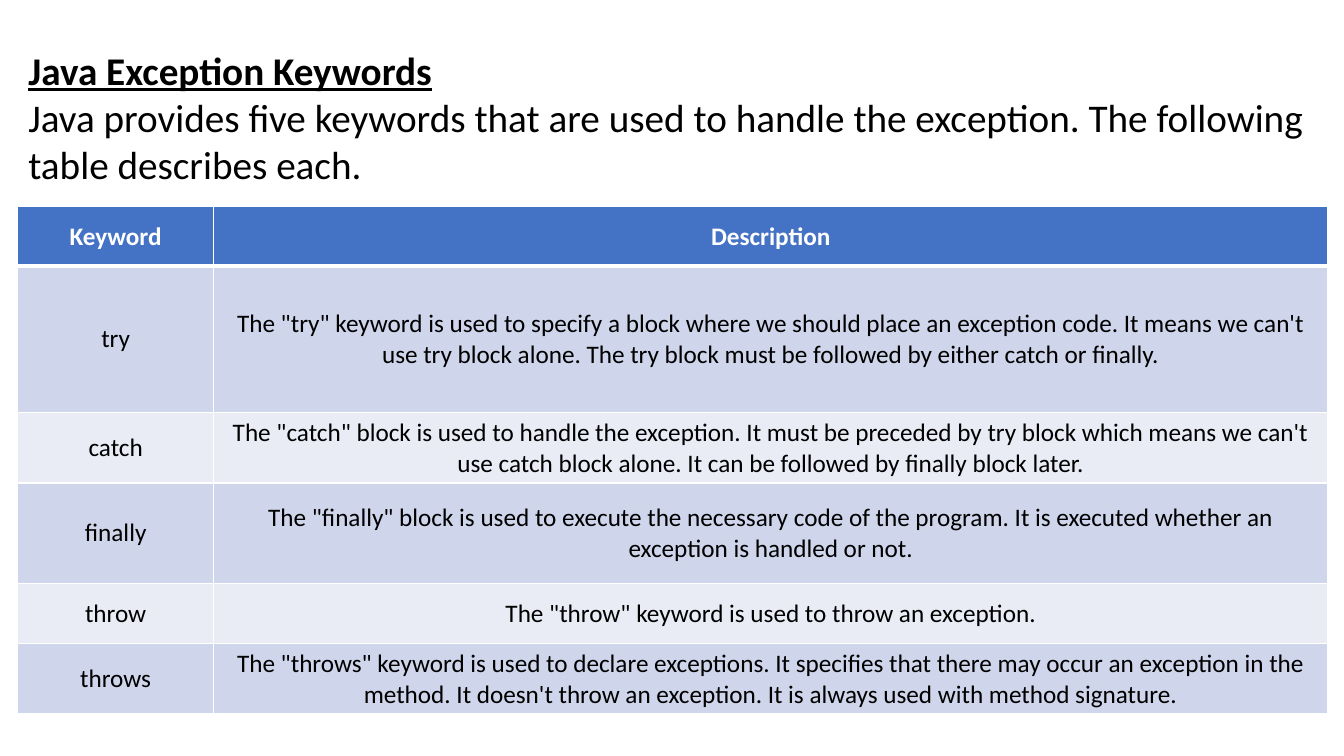
import pptx
import pptx.dml.color
import pptx.enum.text
import pptx.oxml
import pptx.oxml.ns
import pptx.util
from dataclasses import dataclass
from pptx.util import Cm

HEADING = "Java Exception Keywords"
INTRO = ("Java provides five keywords that are used to handle the exception. "
         "The following table describes each.")
HEADER = ("Keyword", "Description")
KEYWORDS = [
    ("try", "The \"try\" keyword is used to specify a block where we should place "
            "an exception code. It means we can't use try block alone. The try block "
            "must be followed by either catch or finally."),
    ("catch", "The \"catch\" block is used to handle the exception. It must be "
              "preceded by try block which means we can't use catch block alone. "
              "It can be followed by finally block later."),
    ("finally", "The \"finally\" block is used to execute the necessary code of the "
                "program. It is executed whether an exception is handled or not."),
    ("throw", "The \"throw\" keyword is used to throw an exception."),
    ("throws", "The \"throws\" keyword is used to declare exceptions. It specifies "
               "that there may occur an exception in the method. It doesn't throw an "
               "exception. It is always used with method signature."),
]
COLUMN_WIDTHS = (4.95, 28.07)
BASE_ROW_HEIGHT = 1.5
TALL_ROWS = {"try": 3.68, "finally": 2.54}


@dataclass(frozen=True)
class Theme:
    font: str = "Calibri"
    heading_size: int = 28
    table_size: int = 18
    text: str = "000000"
    header_text: str = "FFFFFF"
    header_fill: str = "4472C4"
    bands: tuple = ("CFD5EA", "E9EBF5")
    border: str = "FFFFFF"
    border_width: int = 1
    header_rule: int = 3


THEME = Theme()


def rgb(color):
    return pptx.dml.color.RGBColor.from_string(color)


def style_paragraph(paragraph, size, color, bold, align):
    paragraph.alignment = align
    paragraph.font.name = THEME.font
    paragraph.font.size = pptx.util.Pt(size)
    paragraph.font.color.rgb = rgb(color)
    paragraph.font.bold = bold


def add_borders(cell, is_header):
    """Draw the cell edges; call before the fill, which must follow them in the XML."""
    widths = {"L": THEME.border_width, "R": THEME.border_width}
    if is_header:
        widths["T"] = THEME.border_width
    widths["B"] = THEME.header_rule if is_header else THEME.border_width
    properties = cell._tc.get_or_add_tcPr()
    for side, width in widths.items():
        properties.append(pptx.oxml.parse_xml(
            f'<a:ln{side} {pptx.oxml.ns.nsdecls("a")} w="{pptx.util.Pt(width)}">'
            f'<a:solidFill><a:srgbClr val="{THEME.border}"/></a:solidFill></a:ln{side}>'))


def add_heading(slide):
    title = slide.shapes.title
    title.left, title.top, title.width, title.height = Cm(0.46), Cm(1.04), Cm(33.02), Cm(3.84)
    frame = title.text_frame
    frame.word_wrap = True
    frame.auto_size = pptx.enum.text.MSO_AUTO_SIZE.SHAPE_TO_FIT_TEXT
    frame.vertical_anchor = pptx.enum.text.MSO_ANCHOR.TOP
    frame.text = f"{HEADING}\n{INTRO}"
    for paragraph, emphasized in zip(frame.paragraphs, (True, False)):
        style_paragraph(paragraph, THEME.heading_size, THEME.text, emphasized,
                        pptx.enum.text.PP_ALIGN.LEFT)
        paragraph.font.underline = emphasized


def add_keyword_table(slide):
    rows = [HEADER, *KEYWORDS]
    heights = [TALL_ROWS.get(keyword, BASE_ROW_HEIGHT) for keyword, _ in rows]
    table = slide.shapes.add_table(len(rows), len(HEADER), Cm(0.44), Cm(5.21),
                                   Cm(sum(COLUMN_WIDTHS)), Cm(sum(heights))).table
    for column, width in zip(table.columns, COLUMN_WIDTHS):
        column.width = Cm(width)
    for index, (row, texts, height) in enumerate(zip(table.rows, rows, heights)):
        row.height = Cm(height)
        is_header = index == 0
        fill = THEME.header_fill if is_header else THEME.bands[(index - 1) % 2]
        color = THEME.header_text if is_header else THEME.text
        for cell, text in zip(row.cells, texts):
            cell.text = text
            cell.vertical_anchor = pptx.enum.text.MSO_ANCHOR.MIDDLE
            add_borders(cell, is_header)
            cell.fill.solid()
            cell.fill.fore_color.rgb = rgb(fill)
            style_paragraph(cell.text_frame.paragraphs[0], THEME.table_size, color,
                            is_header, pptx.enum.text.PP_ALIGN.CENTER)


def main():
    deck = pptx.Presentation()
    deck.slide_width, deck.slide_height = Cm(33.87), Cm(19.05)
    title_only = deck.slide_layouts.get_by_name("Title Only")
    slide = deck.slides.add_slide(title_only)
    add_heading(slide)
    add_keyword_table(slide)
    deck.save("out.pptx")


if __name__ == "__main__":
    main()
